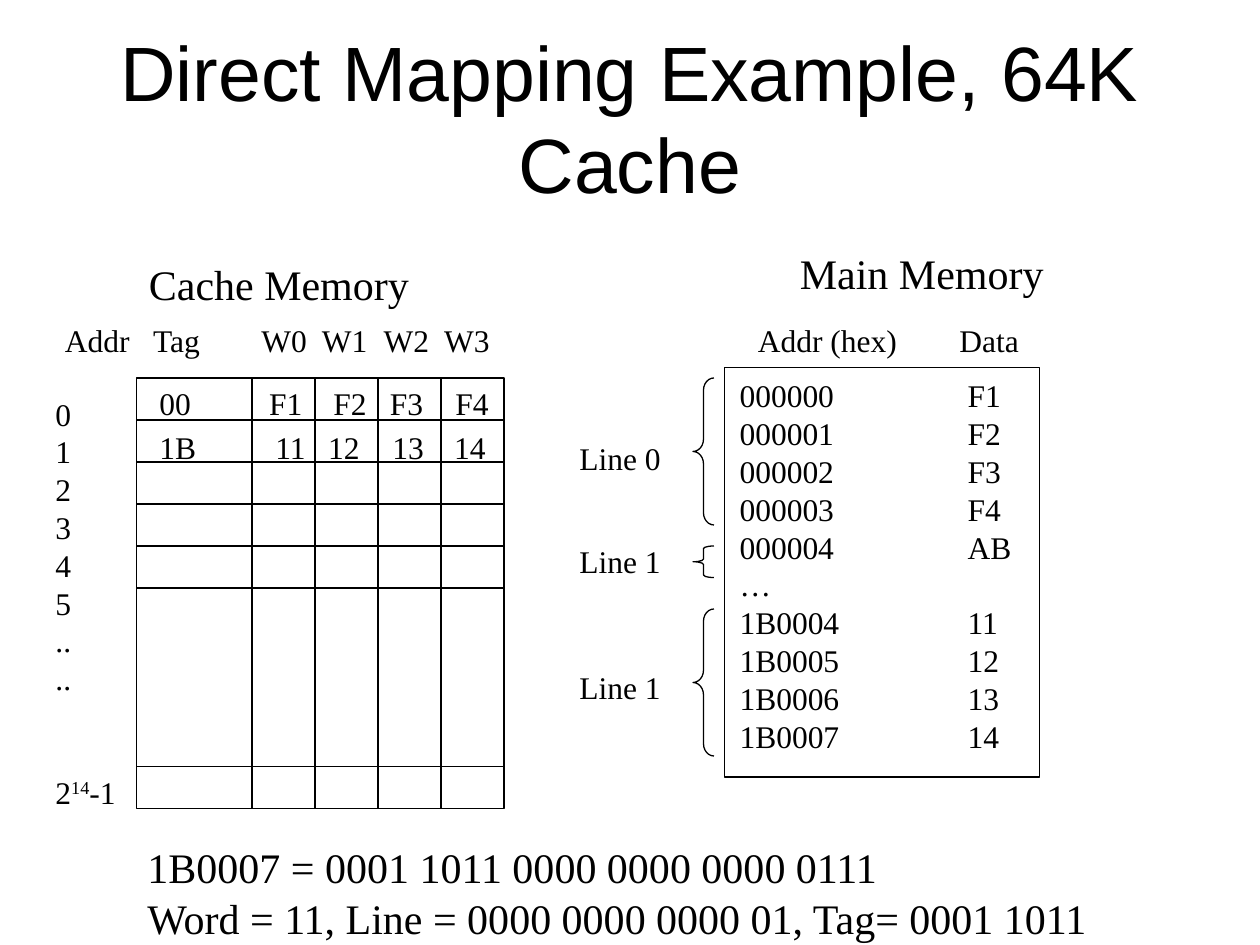
from lxml import etree
from pptx import Presentation
from pptx import util as u
from pptx.dml import color as c
from pptx.enum import shapes, text as t
from pptx.oxml import ns

BLACK = "000000"
UNIT = u.Inches(1) // 24


def paint(target, code):
    target.rgb = c.RGBColor.from_string(code)


def write(frame, content, size=18, font="Times New Roman", align=t.PP_ALIGN.LEFT,
          anchor=t.MSO_ANCHOR.TOP, tabs=()):
    frame.word_wrap = True
    frame.vertical_anchor = anchor
    for index, line in enumerate(content.split("\n")):
        para = frame.paragraphs[0] if index == 0 else frame.add_paragraph()
        para.alignment = align
        para.line_spacing = u.Pt(size * 1.2)
        if tabs:
            stops = etree.SubElement(para._p.get_or_add_pPr(), ns.qn("a:tabLst"))
            for stop in tabs:
                etree.SubElement(stops, ns.qn("a:tab"), pos=str(u.Inches(stop)), algn="l")
        for part, piece in enumerate(line.split("^")):
            span = para.add_run()
            span.text = piece
            span.font.size = u.Pt(size)
            span.font.name = font
            paint(span.font.color, BLACK)
            if part == 1:
                span.font._element.set("baseline", "30000")


deck = Presentation()
deck.slide_width, deck.slide_height = 240 * UNIT, 180 * UNIT
page = deck.slides.add_slide(deck.slide_layouts[5])

title = page.shapes.title
title.left, title.top, title.width, title.height = (
    u.Inches(0.5), u.Inches(0.3), u.Inches(9), u.Inches(1.25))
write(title.text_frame, "Direct Mapping Example, 64K Cache", size=44, font="Arial",
      align=t.PP_ALIGN.CENTER, anchor=t.MSO_ANCHOR.MIDDLE)

left, top, right, bottom = 26, 72, 96, 154
cache = page.shapes.add_shape(shapes.MSO_SHAPE.RECTANGLE, left * UNIT, top * UNIT,
                              (right - left) * UNIT, (bottom - top) * UNIT)
outlines = [cache]
row_lines = [(left, y, right, y) for y in [*range(80, 113, 8), 146]]
column_lines = [(x, top, x, bottom) for x in range(48, 85, 12)]
for ends in row_lines + column_lines:
    divider = page.shapes.add_connector(shapes.MSO_CONNECTOR.STRAIGHT,
                                        *[end * UNIT for end in ends])
    etree.SubElement(divider._element.spPr, ns.qn("a:effectLst"))
    divider.line.width = u.Pt(0.75)
    paint(divider.line.color, BLACK)

memory = page.shapes.add_shape(shapes.MSO_SHAPE.RECTANGLE, 138 * UNIT, 70 * UNIT,
                               60 * UNIT, 78 * UNIT)
memory.text_frame.margin_left = u.Inches(0.12)
memory.text_frame.margin_top = u.Inches(0.07)
write(memory.text_frame, "000000\tF1\n000001\tF2\n000002\tF3\n000003\tF4\n000004\tAB\n…\n"
      "1B0004\t11\n1B0005\t12\n1B0006\t13\n1B0007\t14", tabs=[1.81])
outlines.append(memory)

labels = [
    (150, 46, 80, 12, "Main Memory", {"size": 24}),
    (26, 48, 56, 12, "Cache Memory", {"size": 24}),
    (10, 60, 87, 9.6, "Addr\tTag\tW0\tW1\tW2\tW3", {"tabs": [0.7, 1.56, 2.04, 2.53, 3.01]}),
    (142, 60, 55, 9.6, "Addr (hex)\tData", {"tabs": [1.6]}),
    (28, 72, 68, 9.6, "00\tF1\tF2\tF3\tF4", {"tabs": [0.87, 1.38, 1.83, 2.35]}),
    (28, 80.4, 68, 9.6, "1B\t11\t12\t13\t14", {"tabs": [0.92, 1.34, 1.85, 2.34]}),
    (25.7, 159.2, 186, 21.6, "1B0007 = 0001 1011 0000 0000 0000 0111\n"
     "Word = 11, Line = 0000 0000 0000 01, Tag= 0001 1011", {"size": 24}),
    (108, 82.4, 21, 9.6, "Line 0", {}),
    (108, 102, 21, 9.6, "Line 1", {}),
    (108, 126, 21, 9.6, "Line 1", {}),
    (8.2, 74, 17, 82, "0\n1\n2\n3\n4\n5\n..\n..\n2^14^-1", {}),
]
for *place, content, style in labels:
    box = page.shapes.add_textbox(*[int(length * UNIT) for length in place])
    write(box.text_frame, content, **style)
box.text_frame.paragraphs[-1].space_before = u.Pt(43.2)

for top, height in [(72, 28), (104, 6), (116, 28)]:
    brace = page.shapes.add_shape(shapes.MSO_SHAPE.LEFT_BRACE, 132 * UNIT, top * UNIT,
                                  4 * UNIT, height * UNIT)
    brace.adjustments[0] = height / 12 / 4
    outlines.append(brace)
for outline in outlines:
    outline.shadow.inherit = False
    outline.fill.background()
    outline.line.width = u.Pt(0.75)
    paint(outline.line.color, BLACK)

deck.save("out.pptx")
